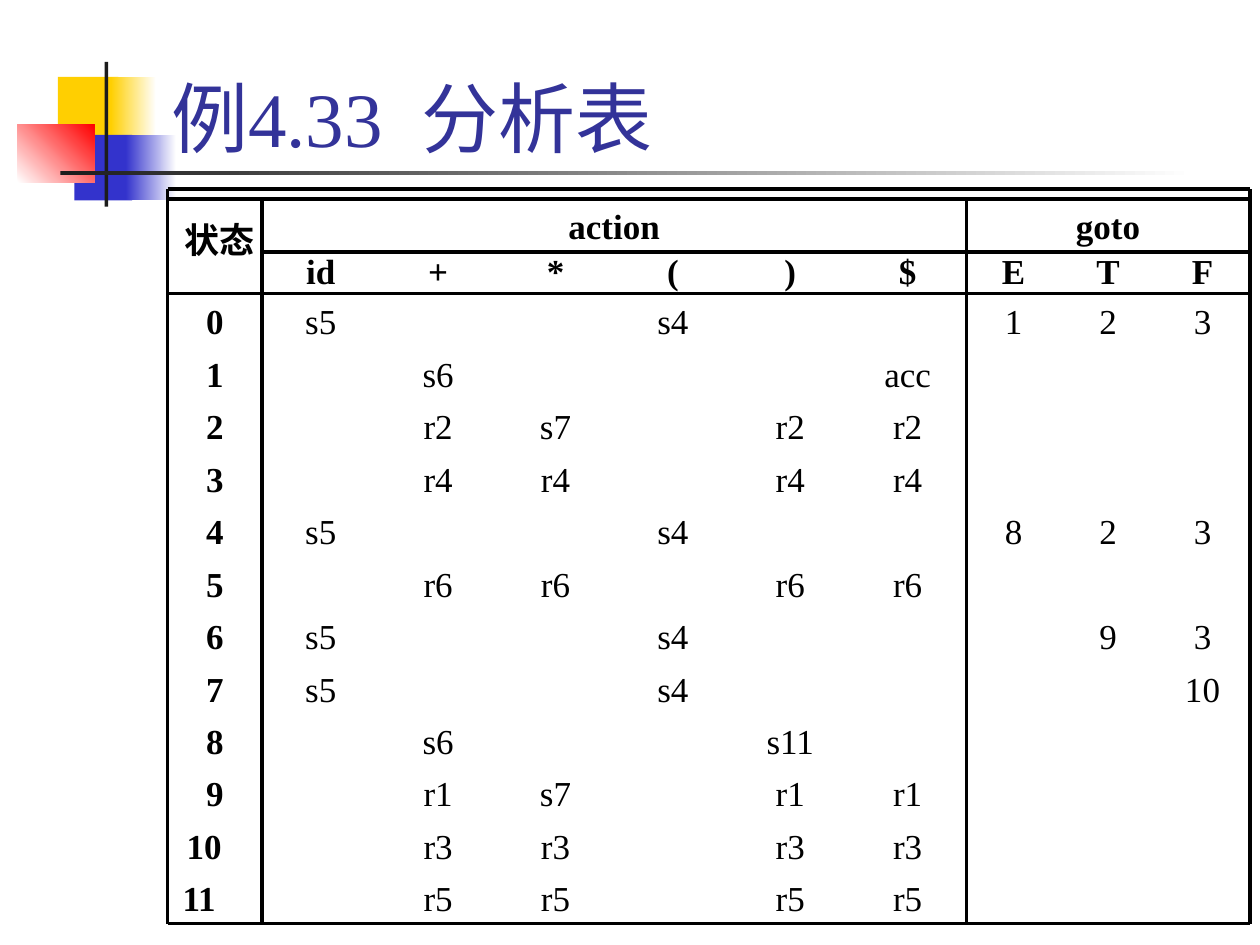
from lxml import etree
from pptx import Presentation
from pptx.dml.color import RGBColor
from pptx.enum.shapes import MSO_CONNECTOR, MSO_SHAPE
from pptx.enum.text import MSO_ANCHOR, PP_ALIGN
from pptx.oxml.ns import qn
from pptx.util import Inches, Pt

RECTANGLE = MSO_SHAPE.RECTANGLE
STRAIGHT = MSO_CONNECTOR.STRAIGHT
CENTER = PP_ALIGN.CENTER
MIDDLE, BOTTOM = MSO_ANCHOR.MIDDLE, MSO_ANCHOR.BOTTOM

FONT = "Times New Roman"
BLACK, WHITE = "000000", "FFFFFF"
PLAIN_STYLE = "{2D5ABB26-0587-4C30-8999-92F81FD0307C}"

TITLE = "例4.33  分析表"
TITLE_FORMAT = {"name": FONT, "size": Pt(44)}

# left, top, width, height, colours (two make a gradient), gradient angle
ORNAMENTS = [
    (0.46, 0.61, 0.48, 0.52, ["FFCF01"], 0),
    (0.88, 0.61, 0.36, 0.52, ["FFCF01", WHITE], 0),
    (0.59, 1.07, 0.46, 0.52, ["3333CC"], 0),
    (1.00, 1.07, 0.40, 0.52, ["3333CC", WHITE], 0),
    (0.14, 0.99, 0.61, 0.46, [WHITE, "FF0000"], 45),
    (0.83, 0.49, 0.03, 1.15, ["1C1C1C"], 0),
    (0.48, 1.36, 9.00, 0.03, ["1C1C1C", WHITE], 0),
]

SYMBOLS = ["id", "+", "*", "(", ")", "$", "E", "T", "F"]
STATES = [
    {"id": "s5", "(": "s4", "E": "1", "T": "2", "F": "3"},
    {"+": "s6", "$": "acc"},
    {"+": "r2", "*": "s7", ")": "r2", "$": "r2"},
    {"+": "r4", "*": "r4", ")": "r4", "$": "r4"},
    {"id": "s5", "(": "s4", "E": "8", "T": "2", "F": "3"},
    {"+": "r6", "*": "r6", ")": "r6", "$": "r6"},
    {"id": "s5", "(": "s4", "T": "9", "F": "3"},
    {"id": "s5", "(": "s4", "F": "10"},
    {"+": "s6", ")": "s11"},
    {"+": "r1", "*": "s7", ")": "r1", "$": "r1"},
    {"+": "r3", "*": "r3", ")": "r3", "$": "r3"},
    {"+": "r5", "*": "r5", ")": "r5", "$": "r5"},
]
GROUPS = {0: "状态", 1: "action", 7: "goto"}  # first column of each group
NUMBER_INSETS = {"10": 0.17, "11": 0.25}  # right margins of the wide state numbers

LEFT, STATE_RIGHT, ACTION_RIGHT, RIGHT = 1.33, 2.08, 7.67, 9.92
DOUBLE_TOP, TOP, GROUP_BOTTOM, HEADER_BOTTOM, BOTTOM_EDGE = 1.5, 1.58, 2, 2.33, 7.33

RULES = [(LEFT, y, RIGHT, y) for y in (DOUBLE_TOP, TOP, HEADER_BOTTOM, BOTTOM_EDGE)]
RULES += [(STATE_RIGHT, GROUP_BOTTOM, RIGHT, GROUP_BOTTOM)]
RULES += [(x, DOUBLE_TOP, x, BOTTOM_EDGE) for x in (LEFT, RIGHT)]
RULES += [(x, TOP, x, BOTTOM_EDGE) for x in (STATE_RIGHT, ACTION_RIGHT)]


def rgb(value):
    return RGBColor.from_string(value)


def set_font(font, color, values):
    for name, value in values.items():
        setattr(font, name, value)
    font.color.rgb = rgb(color)


def add_ornament(slide, left, top, width, height, colors, angle):
    shape = slide.shapes.add_shape(
        RECTANGLE, Inches(left), Inches(top), Inches(width), Inches(height))
    shape.shadow.inherit = False
    shape.line.fill.background()
    if len(colors) == 1:
        shape.fill.solid()
        shape.fill.fore_color.rgb = rgb(colors[0])
        return
    shape.fill.gradient()
    shape.fill.gradient_angle = angle
    for stop, color in zip(shape.fill.gradient_stops, colors):
        stop.color.rgb = rgb(color)


def add_title(slide):
    box = slide.shapes.add_textbox(Inches(1.26), Inches(0.09), Inches(8.52), Inches(1.25))
    frame = box.text_frame
    frame.word_wrap = True
    frame.vertical_anchor = BOTTOM
    span = frame.paragraphs[0].add_run()
    span.text = TITLE
    set_font(span.font, "333399", TITLE_FORMAT)


def add_rule(slide, x1, y1, x2, y2):
    rule = slide.shapes.add_connector(
        STRAIGHT, Inches(x1), Inches(y1), Inches(x2), Inches(y2))
    rule.line.color.rgb = rgb(BLACK)
    rule.line.width = Pt(2)
    etree.SubElement(rule.element.spPr, qn("a:effectLst"))


def set_margins(cell, left=0, right=0, top=0, bottom=0):
    cell.margin_left, cell.margin_right = Inches(left), Inches(right)
    cell.margin_top, cell.margin_bottom = Inches(top), Inches(bottom)


def add_parse_table(slide):
    rows = [[GROUPS.get(column, "") for column in range(len(SYMBOLS) + 1)], [""] + SYMBOLS]
    for number, moves in enumerate(STATES):
        rows.append([str(number)] + [moves.get(symbol, "") for symbol in SYMBOLS])

    widths = ([STATE_RIGHT - LEFT]
              + [(ACTION_RIGHT - STATE_RIGHT) / 6] * 6
              + [(RIGHT - ACTION_RIGHT) / 3] * 3)
    heights = ([GROUP_BOTTOM - TOP, HEADER_BOTTOM - GROUP_BOTTOM]
               + [(BOTTOM_EDGE - HEADER_BOTTOM) / len(STATES)] * len(STATES))

    table = slide.shapes.add_table(
        len(rows), len(widths), Inches(LEFT), Inches(TOP),
        Inches(RIGHT - LEFT), Inches(BOTTOM_EDGE - TOP)).table
    table.first_row = table.horz_banding = False
    table._tbl.tblPr.find(qn("a:tableStyleId")).text = PLAIN_STYLE
    for column, width in zip(table.columns, widths):
        column.width = Inches(width)
    for row, height in zip(table.rows, heights):
        row.height = Inches(height)

    for r, values in enumerate(rows):
        for c, value in enumerate(values):
            cell = table.cell(r, c)
            cell.text = value
            cell.fill.background()
            cell.vertical_anchor = MIDDLE
            inset = NUMBER_INSETS.get(value, 0) if c == 0 else 0
            set_margins(cell, right=inset, top=0 if r == 1 else 0.04)
            para = cell.text_frame.paragraphs[0]
            para.alignment = CENTER
            bold = r < 2 or c == 0
            for font in [para.font] + [span.font for span in para.runs]:
                set_font(font, BLACK, {"name": FONT, "size": Pt(20), "bold": bold})

    for first, last in (((0, 0), (1, 0)), ((0, 1), (0, 6)), ((0, 7), (0, 9))):
        table.cell(*first).merge(table.cell(*last))
    state_heading = table.cell(0, 0)
    set_margins(state_heading, left=0.08, bottom=0.06)
    state_heading.text_frame.paragraphs[0].line_spacing = 0.7


def main():
    deck = Presentation()
    deck.slide_width, deck.slide_height = Inches(10), Inches(7.5)
    slide = deck.slides.add_slide(deck.slide_layouts[6])
    for ornament in ORNAMENTS:
        add_ornament(slide, *ornament)
    add_title(slide)
    add_parse_table(slide)
    for rule in RULES:
        add_rule(slide, *rule)
    deck.save("out.pptx")


if __name__ == "__main__":
    main()
